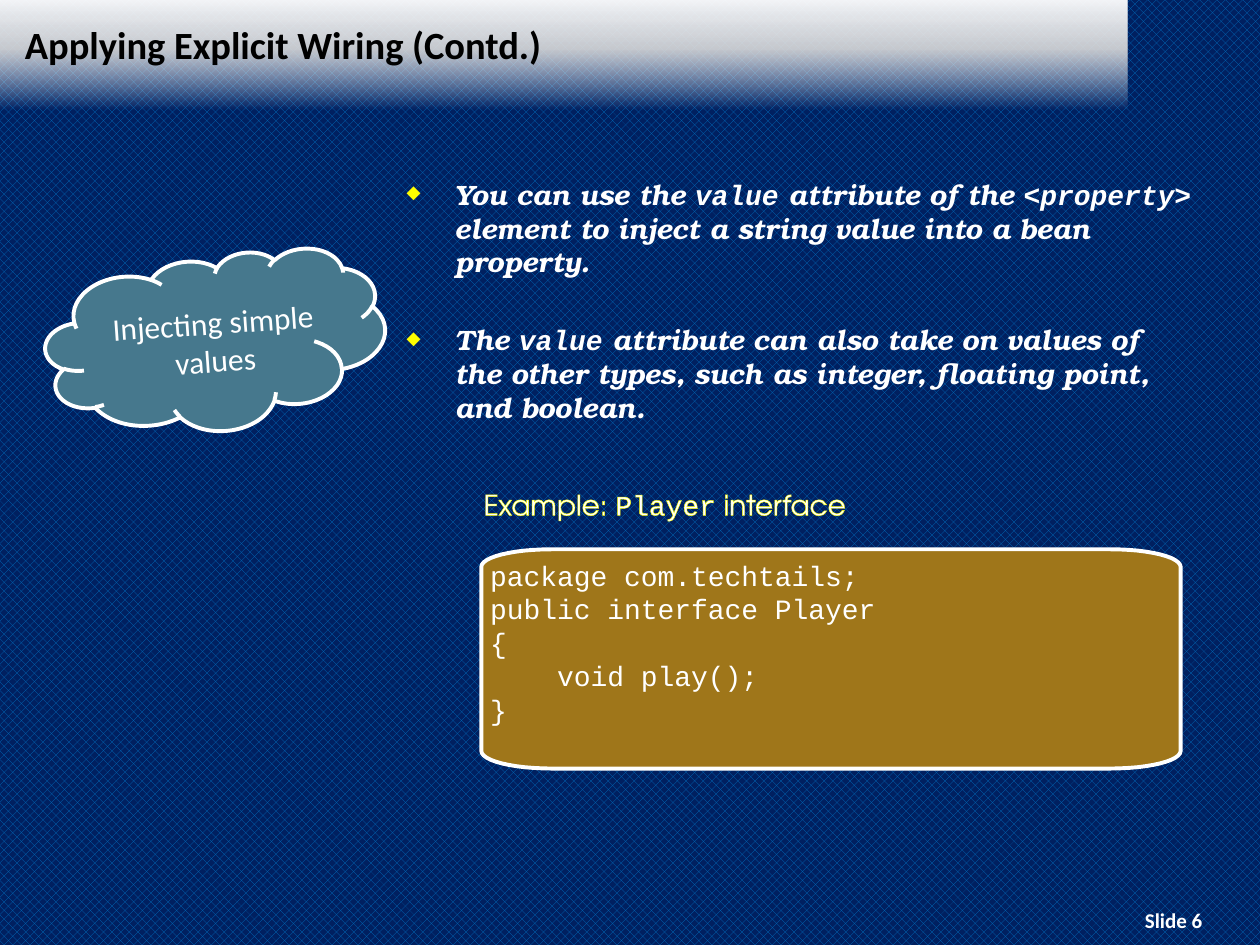
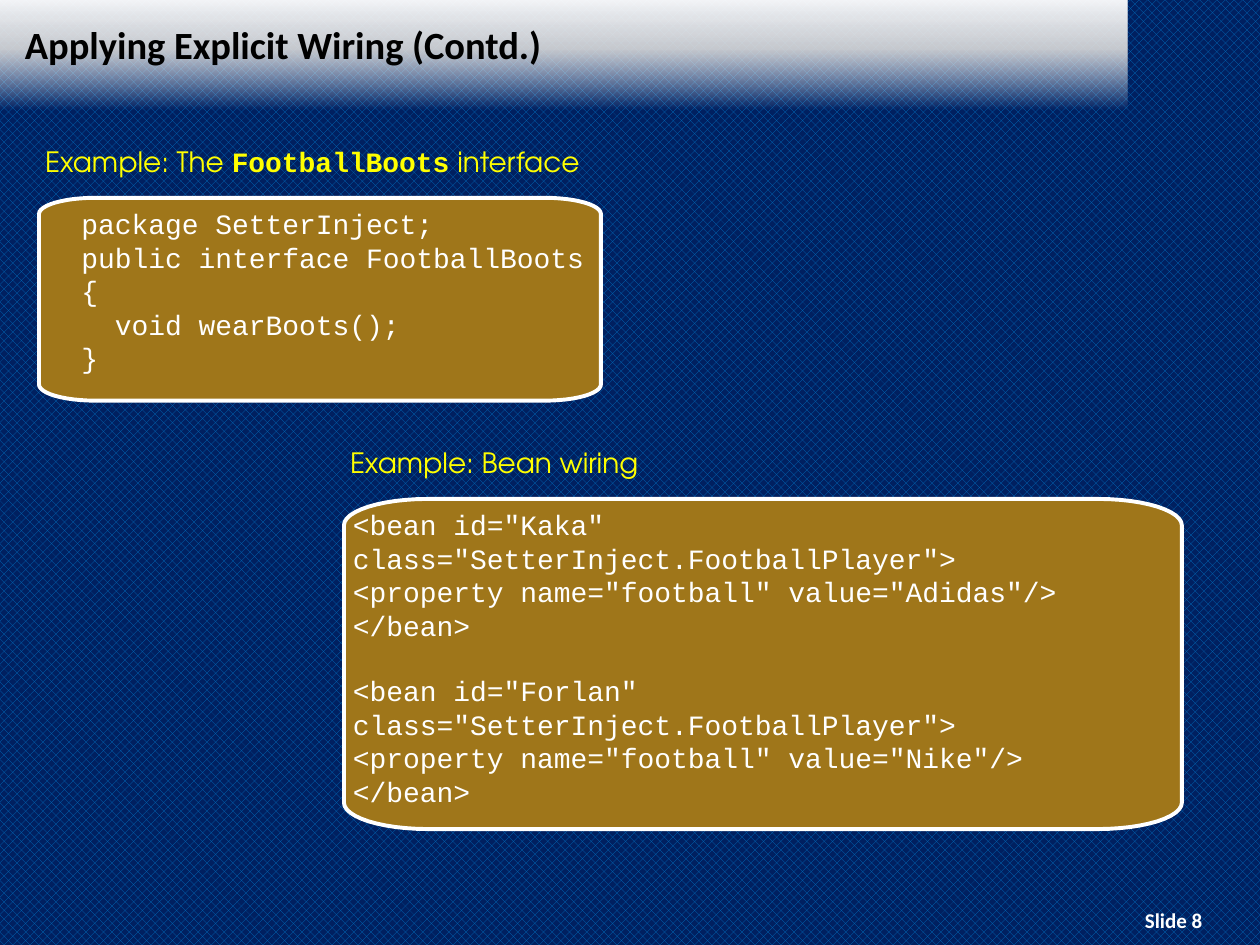
from math import cos, pi, sin

from lxml import etree
from pptx import Presentation
from pptx.dml.color import RGBColor
from pptx.enum.dml import MSO_PATTERN
from pptx.enum.shapes import MSO_SHAPE
from pptx.enum.text import MSO_ANCHOR, PP_ALIGN
from pptx.oxml import parse_xml
from pptx.oxml.ns import qn
from pptx.util import Inches, Pt

TOP, MIDDLE = MSO_ANCHOR.TOP, MSO_ANCHOR.MIDDLE
LEFT, CENTER = PP_ALIGN.LEFT, PP_ALIGN.CENTER
CLOUD, RECTANGLE = MSO_SHAPE.CLOUD, MSO_SHAPE.RECTANGLE
HALF_TONE = MSO_PATTERN.PERCENT_50

COLORS = {
    "navy": "002060", "weave": "0070C0", "white": "FFFFFF", "silver": "D9D9D9",
    "black": "000000", "yellow": "FFFF00", "teal": "46788D", "ochre": "9F761A",
}

# Font formats; "color" and "outline" name entries of COLORS
TITLE = {"name": "Calibri", "size": Pt(22), "bold": True, "color": "black"}
FOOTER = {"name": "Calibri", "size": Pt(12), "bold": True, "color": "white"}
TOPIC = {"name": "Calibri", "size": Pt(18), "color": "white"}
CODE = {"name": "Courier New", "size": Pt(16), "color": "white"}
POINT = {"name": "TeX Gyre Bonum", "size": Pt(16), "bold": True, "italic": True,
         "color": "white"}
POINT_CODE = {**POINT, "name": "Courier New"}
CAPTION = {"name": "TeX Gyre Adventor", "size": Pt(16), "color": "yellow",
           "outline": "yellow"}
CAPTION_CODE = {**CODE, "bold": True, "color": "yellow"}
PALE_CAPTION = {**CAPTION, "color": "white"}
PALE_CAPTION_CODE = {**PALE_CAPTION, "name": "Courier New"}

# Header band stops from bottom to top: position %, colour, opacity %
BAND_STOPS = [(0, "white", 0), (54, "silver", 90), (100, "white", 95)]
CODE_LINE = Pt(18)
POINT_GAP = Pt(25.5)
TILT = 356


def rgb(color):
    return RGBColor.from_string(COLORS[color])


def add_child(parent, tag, **attributes):
    return etree.SubElement(parent, qn(tag), {k: str(v) for k, v in attributes.items()})


class Deck:
    """Holds the shared style and the slide being filled."""

    def __init__(self):
        self.prs = Presentation()
        self.prs.slide_width, self.prs.slide_height = Inches(10), Inches(7.5)
        self.slide = None

    def start_slide(self, title, footer):
        self.slide = self.prs.slides.add_slide(self.prs.slide_layouts[6])
        backdrop = self.slide.background.fill
        backdrop.patterned()
        backdrop.pattern = HALF_TONE
        backdrop.fore_color.rgb = rgb("weave")
        backdrop.back_color.rgb = rgb("navy")
        self.header_band()
        self.text(8.73, 7.15, 1.17, 0.3, [[(footer, FOOTER)]], align=CENTER)
        self.text(0.1, 0.09, 8.77, 0.52, [[(title, TITLE)]], anchor=MIDDLE)

    def header_band(self):
        band = self.slide.shapes.add_shape(
            RECTANGLE, Inches(0), Inches(-0.01), Inches(8.95), Inches(0.88))
        band.shadow.inherit = False
        band.line.fill.background()
        gradient = parse_xml(
            '<a:gradFill xmlns:a="http://schemas.openxmlformats.org/drawingml/2006/main"'
            ' rotWithShape="1"><a:gsLst/><a:lin ang="16200000" scaled="0"/></a:gradFill>')
        for position, color, opacity in BAND_STOPS:
            stop = add_child(gradient[0], "a:gs", pos=position * 1000)
            tint = add_child(stop, "a:srgbClr", val=COLORS[color])
            add_child(tint, "a:alpha", val=opacity * 1000)
        band._element.spPr.find(qn("a:prstGeom")).addnext(gradient)

    def finish(self, shape, fill):
        shape.shadow.inherit = False
        shape.fill.solid()
        shape.fill.fore_color.rgb = rgb(fill)
        shape.line.color.rgb = rgb("white")
        shape.line.width = Pt(2.25)

    def fill_text(self, frame, paragraphs, align=LEFT, anchor=TOP, inset=None):
        """Fill a text frame; each paragraph is a list of (text, style) pairs."""
        frame.word_wrap = True
        frame.vertical_anchor = anchor
        if inset is not None:
            for side in ("left", "top", "right", "bottom"):
                setattr(frame, f"margin_{side}", Inches(inset))
        for index, runs in enumerate(paragraphs):
            paragraph = frame.paragraphs[0] if index == 0 else frame.add_paragraph()
            paragraph.alignment = align
            for text, style in runs:
                run = paragraph.add_run()
                run.text = text
                self.style_font(run.font, style)

    def style_font(self, font, style):
        for key, value in style.items():
            if key == "color":
                font.color.rgb = rgb(value)
            elif key != "outline":
                setattr(font, key, value)
        if "outline" in style:
            line = etree.Element(qn("a:ln"), {"w": str(Pt(1))})
            fill = add_child(line, "a:solidFill")
            add_child(fill, "a:srgbClr", val=COLORS[style["outline"]])
            font._element.insert(0, line)

    def text(self, x, y, w, h, paragraphs, rotation=0, **layout):
        box = self.slide.shapes.add_textbox(Inches(x), Inches(y), Inches(w), Inches(h))
        box.rotation = rotation
        self.fill_text(box.text_frame, paragraphs, **layout)
        return box.text_frame

    def bullets(self, x, y, w, h, points):
        frame = self.text(x, y, w, h, points)
        for index, paragraph in enumerate(frame.paragraphs):
            props = paragraph._p.get_or_add_pPr()
            props.set("lvl", "1")
            props.set("marL", str(Inches(0.38)))
            props.set("indent", str(Inches(-0.38)))
            add_child(add_child(props, "a:buClr"), "a:srgbClr", val=COLORS["yellow"])
            add_child(props, "a:buSzPct", val=65000)
            add_child(props, "a:buChar", char="◆")
            if index:
                paragraph.space_before = POINT_GAP

    def cloud(self, x, y, w, h, topic):
        cloud = self.slide.shapes.add_shape(
            CLOUD, Inches(x), Inches(y), Inches(w), Inches(h))
        cloud.rotation = TILT
        self.finish(cloud, "teal")
        self.text(x + 0.46, y + 0.23, 1.76, 0.91, [[(topic, TOPIC)]],
                  rotation=TILT, align=CENTER, anchor=MIDDLE, inset=0.08)

    def code_box(self, x, y, w, h, blocks):
        """Draw a panel with elliptical corners; blocks of code are a line apart."""
        rx, ry, steps = 0.1 * w, 0.08 * h, 12
        centers = [(x + w - rx, y + h - ry), (x + rx, y + h - ry),
                   (x + rx, y + ry), (x + w - rx, y + ry)]
        outline = []
        for quarter, (cx, cy) in enumerate(centers):
            for step in range(steps + 1):
                angle = (quarter + step / steps) * pi / 2
                outline.append((Inches(cx + rx * cos(angle)), Inches(cy + ry * sin(angle))))
        builder = self.slide.shapes.build_freeform(*outline[0])
        builder.add_line_segments(outline[1:], close=True)
        panel = builder.convert_to_shape()
        self.finish(panel, "ochre")
        lines = [line for block in blocks for line in block]
        self.fill_text(panel.text_frame, [[(line, CODE)] for line in lines], inset=0.07)
        first = 0
        for block in blocks[:-1]:
            first += len(block)
            panel.text_frame.paragraphs[first].space_before = CODE_LINE


def bean(name, football):
    return [f'<bean id="{name}"', 'class="SetterInject.FootballPlayer">',
            f'<property name="football" value="{football}"/>', "</bean>"]


def main():
    deck = Deck()
    title = "Applying Explicit Wiring (Contd.)"

    # Injecting simple values
    deck.start_slide(title, "Slide 6")
    deck.bullets(3.13, 1.36, 6.43, 2.09, [
        [("You can use the ", POINT), ("value", POINT_CODE),
         (" attribute of the ", POINT), ("<property>", POINT_CODE),
         (" element to inject a string value into a bean property.", POINT)],
        [("The ", POINT), ("value", POINT_CODE),
         (" attribute can also take on values of the other types, such as integer, "
          "floating point, and boolean.", POINT)],
    ])
    deck.cloud(0.36, 2.02, 2.7, 1.4, "Injecting simple values")
    deck.code_box(3.82, 4.36, 5.55, 1.74, [[
        "package com.techtails;", "public interface Player", "{",
        "    void play();", "}"]])
    deck.text(3.74, 3.82, 3.2, 0.37, [[
        ("Example: ", PALE_CAPTION), ("Player", PALE_CAPTION_CODE),
        (" interface", PALE_CAPTION)]])

    # Interface and bean wiring
    deck.start_slide(title, "Slide 8")
    deck.code_box(0.31, 1.57, 4.46, 1.61, [[
        "  package SetterInject;", "  public interface FootballBoots", "  {",
        "    void wearBoots();", "  }"]])
    deck.text(0.26, 1.1, 4.51, 0.37, [[
        ("Example: The ", CAPTION), ("FootballBoots", CAPTION_CODE),
        (" interface", CAPTION)]])
    deck.code_box(2.73, 3.96, 6.65, 2.62, [bean("Kaka", "Adidas"), bean("Forlan", "Nike")])
    deck.text(2.68, 3.49, 4.51, 0.37, [[("Example: Bean wiring", CAPTION)]])

    deck.prs.save("out.pptx")


if __name__ == "__main__":
    main()
